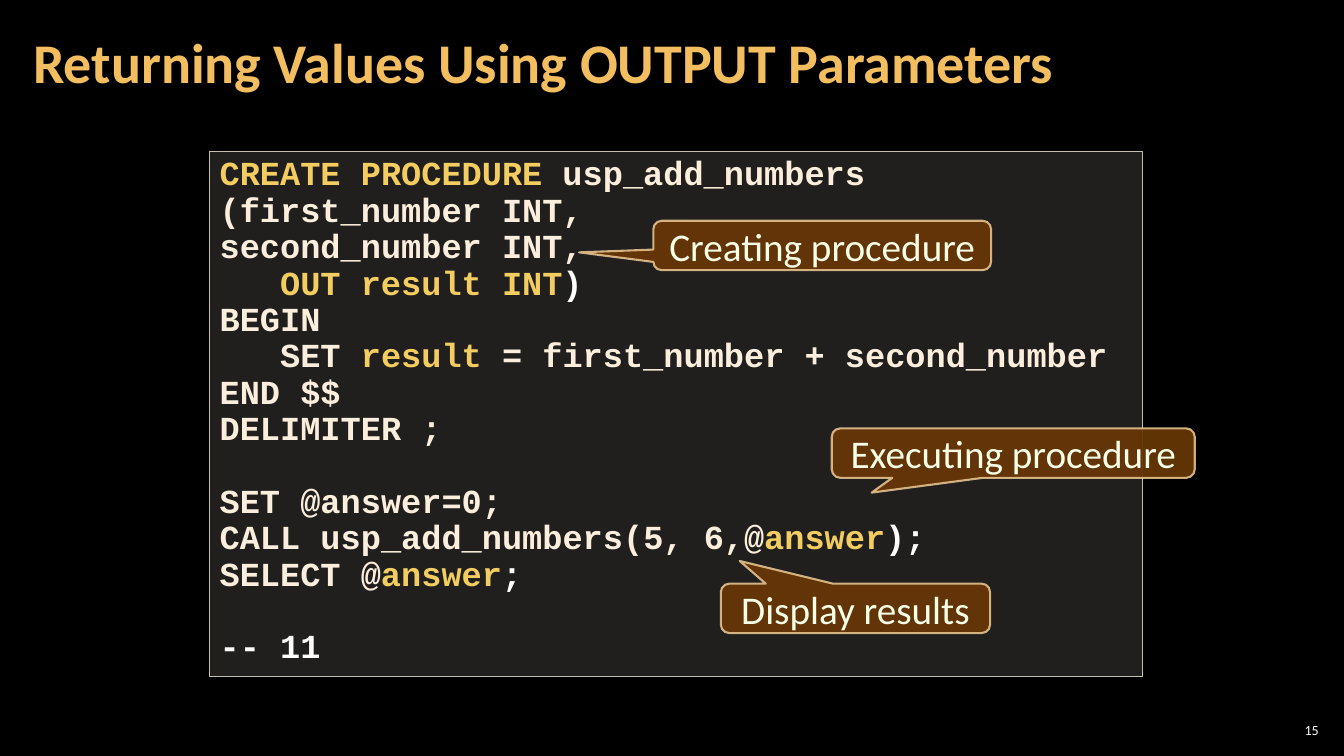
from dataclasses import dataclass

from lxml.etree import SubElement
from pptx import Presentation
from pptx.dml.color import RGBColor
from pptx.enum.shapes import MSO_SHAPE
from pptx.enum.text import MSO_ANCHOR, MSO_AUTO_SIZE, PP_ALIGN
from pptx.oxml.ns import qn
from pptx.util import Pt

PX = 9144  # EMU, 100 px to the inch


@dataclass(frozen=True)
class Theme:
    font: str = "Calibri"
    mono: str = "Courier New"
    background: str = "000000"
    white: str = "FFFFFF"
    title: str = "F3BE60"
    code: str = "FBEEDC"
    accent: str = "F3CD60"
    panel: str = "D9D5C7"
    panel_line: str = "C7BFAC"
    callout: str = "663606"
    callout_line: str = "F8D49E"
    callout_text: str = "F7FFE7"
    title_size: int = 40
    callout_size: int = 28
    code_size: int = 24
    code_leading: int = 26
    number_size: int = 10


T = Theme()


def px(*lengths):
    return [n * PX for n in lengths]


def paint(color_format, color, alpha=100):
    """Set a solid colour with an opacity in percent."""
    color_format.rgb = RGBColor.from_string(color)
    if alpha < 100:
        srgb = color_format._xFill.find(qn("a:srgbClr"))
        SubElement(srgb, qn("a:alpha")).set("val", str(alpha * 1000))


def add_text(p, text, font=T.font, size=T.code_size, color=T.white, bold=False):
    r = p.add_run()
    r.text = text
    r.font.name, r.font.size, r.font.bold = font, Pt(size), bold
    r.font.color.rgb = RGBColor.from_string(color)


def set_frame(tf, anchor, insets=(10, 5)):
    """Set anchor, wrapping and the side and top insets in px."""
    tf.word_wrap = True
    tf.auto_size = MSO_AUTO_SIZE.NONE
    tf.vertical_anchor = anchor
    side, top = px(*insets)
    tf.margin_left = tf.margin_right = side
    tf.margin_top = tf.margin_bottom = top


class SlideBuilder:
    def __init__(self, prs):
        self.s = prs.slides.add_slide(prs.slide_layouts[5])
        fill = self.s.background.fill
        fill.solid()
        paint(fill.fore_color, T.background)

    def title(self, text, box):
        sp = self.s.shapes.title
        sp.left, sp.top, sp.width, sp.height = px(*box)
        set_frame(sp.text_frame, MSO_ANCHOR.MIDDLE, (12, 4))
        p = sp.text_frame.paragraphs[0]
        p.alignment, p.line_spacing = PP_ALIGN.LEFT, 0.9
        add_text(p, text, size=T.title_size, color=T.title, bold=True)

    def page_number(self, text, box):
        tf = self.s.shapes.add_textbox(*px(*box)).text_frame
        set_frame(tf, MSO_ANCHOR.MIDDLE, (4, 4))
        p = tf.paragraphs[0]
        p.alignment = PP_ALIGN.RIGHT
        add_text(p, text, size=T.number_size)

    def shape(self, kind, box, fill, line):
        """Add a shape; fill is (colour, alpha), line is (colour, alpha, points)."""
        sp = self.s.shapes.add_shape(kind, *px(*box))
        sp.shadow.inherit = False
        sp.fill.solid()
        paint(sp.fill.fore_color, *fill)
        color, alpha, width = line
        sp.line.width = Pt(width)
        sp.line.fill.solid()
        paint(sp.line.color, color)
        if alpha < 100:
            srgb = sp.line._ln.find(".//" + qn("a:srgbClr"))
            SubElement(srgb, qn("a:alpha")).set("val", str(alpha * 1000))
        return sp

    def code(self, blocks, box):
        """Add a code panel; blocks of lines are set one line apart."""
        sp = self.shape(MSO_SHAPE.RECTANGLE, box, (T.panel, 15), (T.panel_line, 100, 1))
        tf = sp.text_frame
        set_frame(tf, MSO_ANCHOR.TOP)
        p = tf.paragraphs[0]
        for b, block in enumerate(blocks):
            for i, line in enumerate(block):
                if b or i:
                    p = tf.add_paragraph()
                p.alignment = PP_ALIGN.LEFT
                p.line_spacing = Pt(T.code_leading)
                p.space_before = Pt(T.code_leading if b and not i else 0)
                for text, color in line:
                    add_text(p, text, font=T.mono, color=color, bold=True)

    def callout(self, text, box, tip):
        """Add a callout whose tip is an offset from its centre, in box sizes."""
        sp = self.shape(MSO_SHAPE.ROUNDED_RECTANGULAR_CALLOUT, box,
                        (T.callout, 95), (T.callout_line, 80, 1.5))
        sp.adjustments[0], sp.adjustments[1] = tip
        sp.adjustments[2] = 0.17
        set_frame(sp.text_frame, MSO_ANCHOR.MIDDLE)
        p = sp.text_frame.paragraphs[0]
        p.alignment = PP_ALIGN.CENTER
        add_text(p, text, size=T.callout_size, color=T.callout_text)


CODE = [
    [
        [("CREATE PROCEDURE", T.accent), (" usp_add_numbers", T.code)],
        [("(first_number INT,", T.code)],
        [("second_number INT,", T.code)],
        [("   ", T.code), ("OUT result INT", T.accent), (")", T.white)],
        [("BEGIN", T.code)],
        [("   SET ", T.code), ("result ", T.accent),
         ("= first_number + second_number", T.code)],
        [("END $$", T.code)],
        [("DELIMITER ;", T.code)],
    ],
    [
        [("SET @answer=0;", T.code)],
        [("CALL usp_add_numbers(5, 6,@", T.code), ("answer", T.accent), (");", T.white)],
        [("SELECT @", T.code), ("answer", T.accent), (";", T.white)],
    ],
    [
        [("-- 11", T.white)],
    ],
]

CALLOUTS = [
    ("Creating procedure", (648, 219, 335, 49), (-0.72, 0.14)),
    ("Executing procedure", (825, 425, 360, 49), (-0.39, 0.8)),
    ("Display results", (715, 579, 267, 49), (-0.43, -0.96)),
]


def main():
    prs = Presentation()
    prs.slide_width, prs.slide_height = px(1333, 750)
    slide = SlideBuilder(prs)
    slide.page_number("15", (1265, 714, 47, 21))
    slide.title("Returning Values Using OUTPUT Parameters", (21, 4, 1047, 121))
    slide.code(CODE, (208, 150, 925, 521))
    for text, box, tip in CALLOUTS:
        slide.callout(text, box, tip)
    prs.save("out.pptx")


if __name__ == "__main__":
    main()
